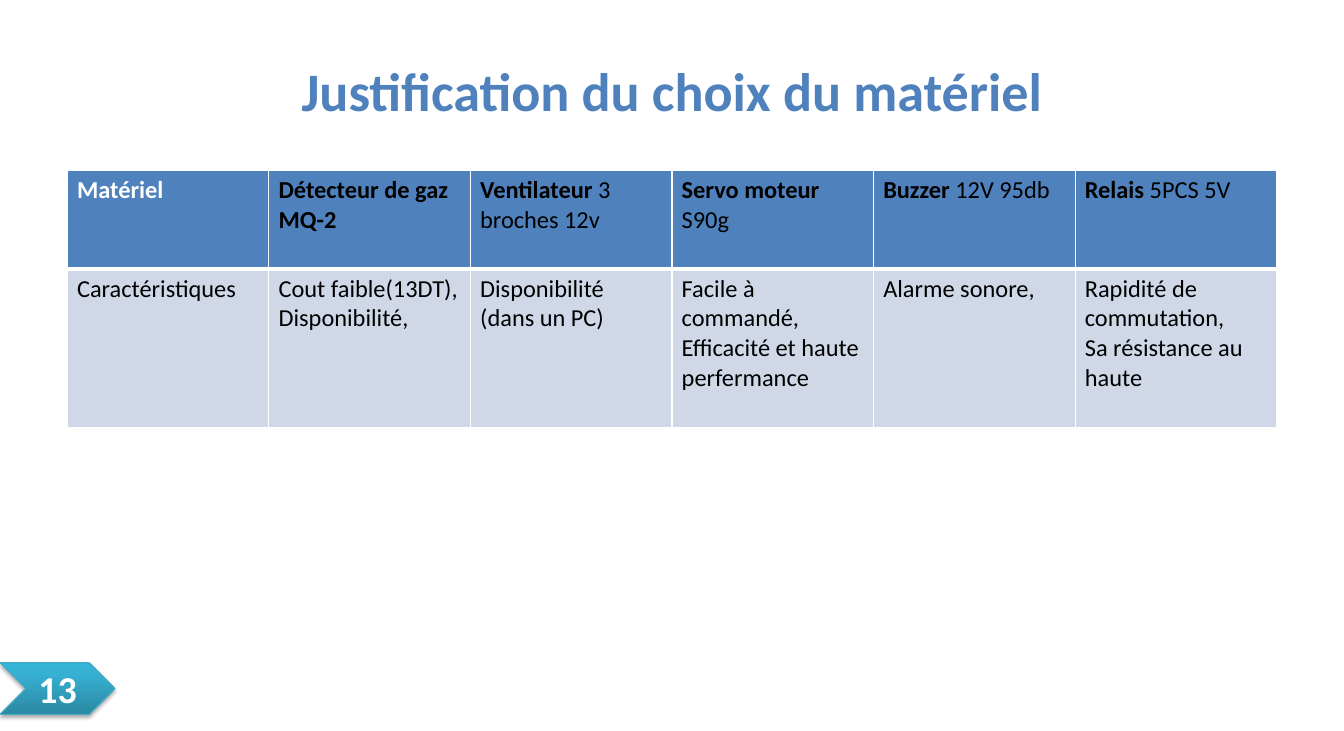
from lxml.etree import SubElement
from pptx import Presentation
from pptx.dml.color import RGBColor
from pptx.enum.shapes import MSO_SHAPE as Shape
from pptx.enum.text import MSO_ANCHOR as Anchor, PP_ALIGN as Align
from pptx.oxml.ns import qn
from pptx.util import Pt

WHITE = RGBColor(0xFF, 0xFF, 0xFF)
BLACK = RGBColor(0x00, 0x00, 0x00)
BLUE = RGBColor(0x4F, 0x81, 0xBD)
PALE = RGBColor(0xD0, 0xD8, 0xE8)
TEAL_LINE = RGBColor(0x46, 0xAA, 0xC5)
TEAL_STOPS = [
    (0, RGBColor(0x2A, 0x88, 0xA2)),
    (80, RGBColor(0x37, 0xB1, 0xD2)),
    (100, RGBColor(0x34, 0xB4, 0xD6)),
]

MATERIALS = [
    [("Matériel", "")],
    [("Détecteur de gaz MQ-2", "")],
    [("Ventilateur", " 3 broches 12v")],
    [("Servo moteur ", "S90g")],
    [("Buzzer", " 12V 95db")],
    [("Relais", " 5PCS 5V")],
]
FEATURES = [
    ["Caractéristiques"],
    ["Cout faible(13DT),", "Disponibilité,"],
    ["Disponibilité (dans un PC)"],
    ["Facile à commandé,", "Efficacité et haute perfermance"],
    ["Alarme sonore,"],
    ["Rapidité de commutation,", "Sa résistance au haute"],
]


class SlideBuilder:
    font = "Calibri"
    scale = 9144

    def __init__(self, deck):
        deck.slide_width, deck.slide_height = self.emu(1378, 750)
        self.page = deck.slides.add_slide(deck.slide_layouts[6])

    def emu(self, *lengths):
        return [length * self.scale for length in lengths]

    def span(self, para, text, **format_values):
        span = para.add_run()
        span.text = text
        color = format_values.pop("color")
        for name, value in {"name": self.font, **format_values}.items():
            setattr(span.font, name, value)
        span.font.color.rgb = color

    def centred(self, frame, text, **format_values):
        values = {"word_wrap": True, "vertical_anchor": Anchor.MIDDLE}
        for name, value in values.items():
            setattr(frame, name, value)
        para = frame.paragraphs[0]
        para.alignment = Align.CENTER
        self.span(para, text, bold=True, **format_values)

    def title(self, text, *place):
        box = self.page.shapes.add_textbox(*self.emu(*place))
        self.centred(box.text_frame, text, size=Pt(40), color=BLUE)

    def borders(self, cell, **widths):
        properties = cell._tc.get_or_add_tcPr()
        for side, width in widths.items():
            line = SubElement(properties, qn(f"a:ln{side}"), w=str(Pt(width)))
            fill = SubElement(line, qn("a:solidFill"))
            SubElement(fill, qn("a:srgbClr"), val=str(WHITE))

    def table(self, header, body, heights, left, top, width):
        place = self.emu(left, top, width, sum(heights))
        table = self.page.shapes.add_table(2, len(header), *place).table
        for column in table.columns:
            column.width = place[2] // len(header)
        for row, height in zip(table.rows, self.emu(*heights)):
            row.height = height
        for index, paragraphs in enumerate(header):
            cell = table.cell(0, index)
            self.borders(cell, L=1, R=1, T=1, B=3)
            color = BLACK if index else WHITE
            self.fill_cell(cell, BLUE, paragraphs, color)
        for index, lines in enumerate(body):
            cell = table.cell(1, index)
            self.borders(cell, L=1, R=1, T=3, B=1)
            self.fill_cell(cell, PALE, [("", line) for line in lines], BLACK)

    def fill_cell(self, cell, fill, paragraphs, color):
        cell.fill.solid()
        cell.fill.fore_color.rgb = fill
        frame = cell.text_frame
        for index, parts in enumerate(paragraphs):
            para = frame.add_paragraph() if index else frame.paragraphs[0]
            for text, bold in zip(parts, (True, False)):
                if text:
                    self.span(para, text, size=Pt(18), bold=bold, color=color)

    def page_number(self, text, *place):
        arrow = self.page.shapes.add_shape(Shape.CHEVRON, *self.emu(*place))
        arrow.fill.gradient()
        arrow.fill.gradient_angle = 90
        arrow.line.color.rgb = TEAL_LINE
        arrow.line.width = Pt(0.75)
        arrow.shadow.inherit = False
        properties = arrow._element.spPr
        stops = properties.find(f".//{qn('a:gsLst')}")
        stops.clear()
        for position, color in TEAL_STOPS:
            stop = SubElement(stops, qn("a:gs"), pos=str(position * 1000))
            SubElement(stop, qn("a:srgbClr"), val=str(color))
        shadow = SubElement(
            properties.find(qn("a:effectLst")), qn("a:outerShdw"),
            blurRad=str(Pt(3.1)), dist=str(Pt(1.8)), dir="5400000", rotWithShape="0",
        )
        tint = SubElement(shadow, qn("a:srgbClr"), val=str(BLACK))
        SubElement(tint, qn("a:alpha"), val="35000")
        self.centred(arrow.text_frame, text, size=Pt(28), color=WHITE)


def main():
    deck = Presentation()
    slide = SlideBuilder(deck)
    slide.table(MATERIALS, FEATURES, (101, 163), 69, 175, 1240)
    slide.title("Justification du choix du matériel", 69, 54, 1240, 77)
    slide.page_number("13", 0, 680, 118, 53)
    deck.save("out.pptx")


if __name__ == "__main__":
    main()
